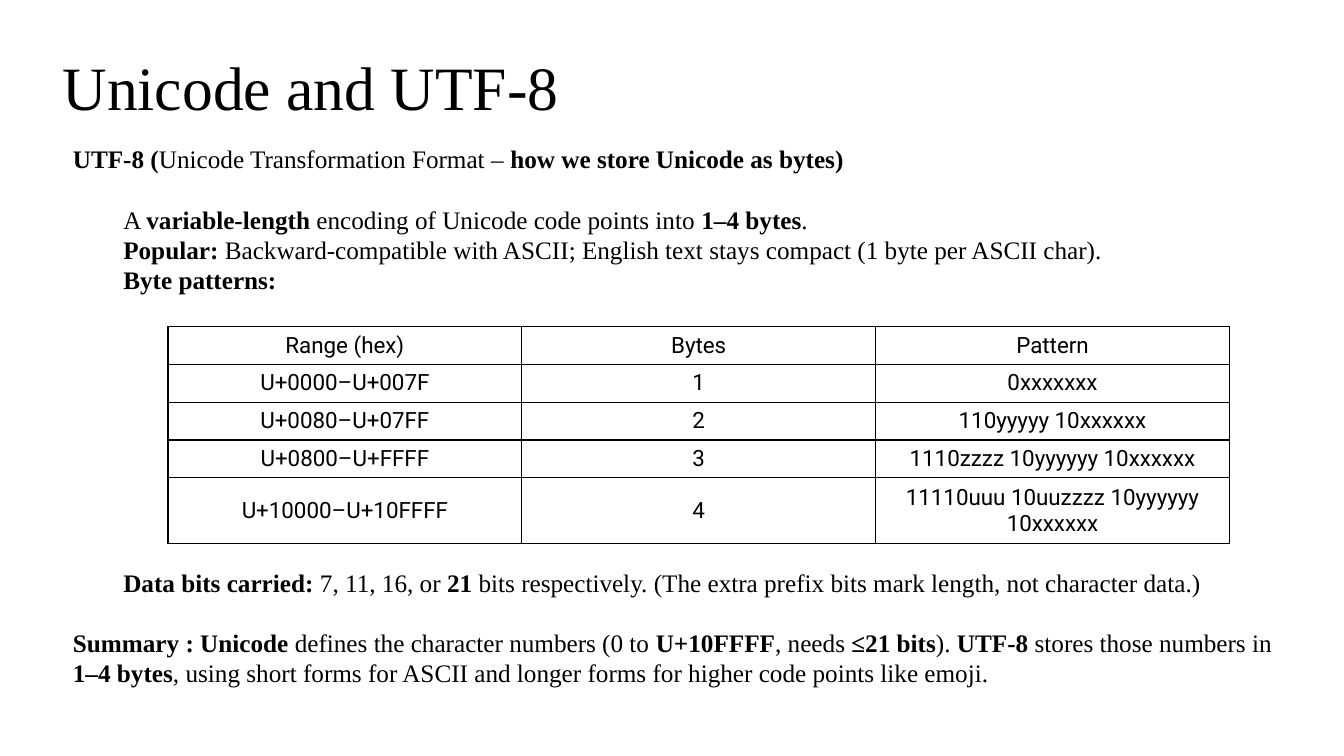
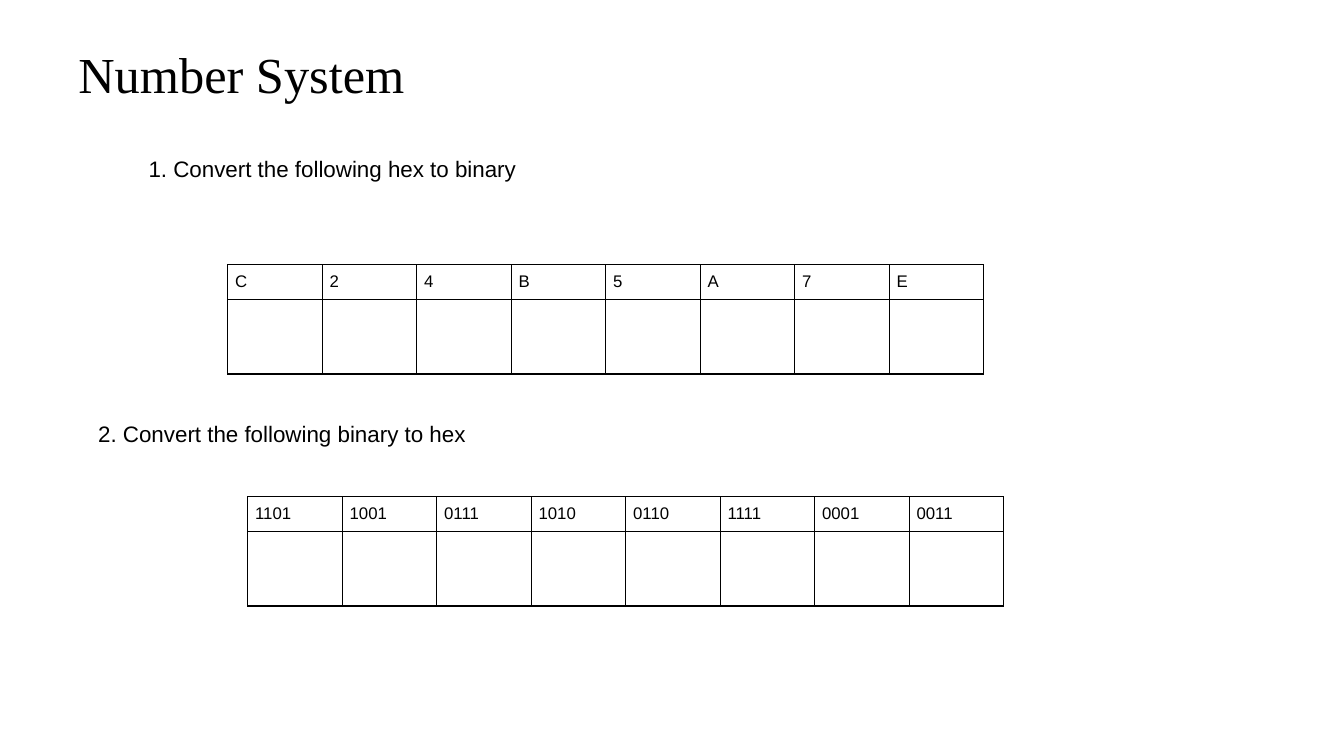
"""Build two slides on UTF-8 byte patterns and hex-binary conversion."""
from lxml.etree import SubElement
from pptx import Presentation
from pptx.dml.color import RGBColor
from pptx.enum.text import MSO_ANCHOR, MSO_AUTO_SIZE, PP_ALIGN
from pptx.oxml.ns import qn
from pptx.util import Pt

PX = 9525
INK = "000000"
SERIF = "Times New Roman"
SANS = "Arial"
TABLE_FONT = "Roboto"
LINE = 21.6


def write_text(paragraph, text, size, font, color=INK, align=PP_ALIGN.LEFT,
               line_spacing=None, indent=0, before=0):
    """Write text into a paragraph; parts between ** marks are bold."""
    paragraph.alignment = align
    paragraph.space_before = Pt(before)
    paragraph.line_spacing = line_spacing
    if indent:
        paragraph._p.get_or_add_pPr().set("marL", str(indent * PX))
    for index, part in enumerate(text.split("**")):
        if part:
            run = paragraph.add_run()
            run.text = part
            run.font.size = Pt(size)
            run.font.name = font
            run.font.bold = index % 2 == 1
            run.font.color.rgb = RGBColor.from_string(color)


def add_grid(slide, left, top, column_width, row_heights, rows, margin=None,
             anchor=MSO_ANCHOR.TOP, **text_format):
    """Add an unfilled table with thin black borders."""
    columns = len(rows[0])
    table = slide.shapes.add_table(
        len(rows), columns, left * PX, top * PX,
        column_width * columns * PX, sum(row_heights) * PX).table
    table.first_row = False
    table.horz_banding = False
    for column in table.columns:
        column.width = column_width * PX
    for row, height, texts in zip(table.rows, row_heights, rows):
        row.height = height * PX
        for cell, text in zip(row.cells, texts):
            cell.vertical_anchor = anchor
            if margin is not None:
                cell.margin_left = cell.margin_right = margin * PX
                cell.margin_top = cell.margin_bottom = margin * PX
            properties = cell._tc.get_or_add_tcPr()
            for side in ("a:lnL", "a:lnR", "a:lnT", "a:lnB"):
                border = SubElement(properties, qn(side), w=str(Pt(1)))
                fill = SubElement(border, qn("a:solidFill"))
                SubElement(fill, qn("a:srgbClr"), val=INK)
            cell.fill.background()
            write_text(cell.text_frame.paragraphs[0], text, **text_format)


presentation = Presentation()
presentation.slide_width = 1280 * PX
presentation.slide_height = 720 * PX

slides = []
for title_text, title_size, left, top in [
    ("Unicode and UTF-8", 44, 50, 17),
    ("Number System", 36, 65, 4),
]:
    slide = presentation.slides.add_slide(presentation.slide_layouts[5])
    title = slide.shapes.title
    title.left, title.top = left * PX, top * PX
    title.width, title.height = 1104 * PX, 139 * PX
    title.text_frame.vertical_anchor = MSO_ANCHOR.MIDDLE
    title.text_frame.auto_size = MSO_AUTO_SIZE.NONE
    write_text(title.text_frame.paragraphs[0], title_text, title_size, SERIF,
               line_spacing=0.9)
    slides.append(slide)
unicode_slide, number_slide = slides

body = unicode_slide.shapes.add_textbox(60 * PX, 132 * PX, 1170 * PX, 533 * PX)
body.text_frame.word_wrap = True
explanation = [
    ("**UTF-8 (**Unicode Transformation Format – **how we store Unicode as bytes)**", 0, 0),
    ("A **variable-length** encoding of Unicode code points into **1–4 bytes**.", 48, 1),
    ("**Popular:** Backward-compatible with ASCII; English text stays compact "
     "(1 byte per ASCII char).", 48, 0),
    ("**Byte patterns:**", 48, 0),
    ("**Data bits carried:** 7, 11, 16, or **21** bits respectively. "
     "(The extra prefix bits mark length, not character data.)", 48, 9),
    ("**Summary : Unicode** defines the character numbers (0 to **U+10FFFF**, needs "
     "**≤21 bits**). **UTF-8** stores those numbers in **1–4 bytes**, using short forms "
     "for ASCII and longer forms for higher code points like emoji.", 0, 1),
]
for index, (text, indent, lines_before) in enumerate(explanation):
    frame = body.text_frame
    paragraph = frame.add_paragraph() if index else frame.paragraphs[0]
    write_text(paragraph, text, 18, SERIF, line_spacing=Pt(LINE), indent=indent,
               before=lines_before * LINE)

byte_patterns = [
    ("Range (hex)", "Bytes", "Pattern"),
    ("U+0000–U+007F", "1", "0xxxxxxx"),
    ("U+0080–U+07FF", "2", "110yyyyy 10xxxxxx"),
    ("U+0800–U+FFFF", "3", "1110zzzz 10yyyyyy 10xxxxxx"),
    ("U+10000–U+10FFFF", "4", "11110uuu 10uuzzzz 10yyyyyy 10xxxxxx"),
]
add_grid(unicode_slide, 160, 311, 337, [36, 36, 36, 36, 63], byte_patterns,
         anchor=MSO_ANCHOR.MIDDLE, size=16, font=TABLE_FONT, align=PP_ALIGN.CENTER)

exercises = [
    ("1. Convert the following hex to binary", 132, 141,
     ["C", "2", "4", "B", "5", "A", "7", "E"], 217, 252),
    ("2. Convert the following binary to hex", 84, 393,
     ["1101", "1001", "0111", "1010", "0110", "1111", "0001", "0011"], 236, 473),
]
for question, left, top, digits, grid_left, grid_top in exercises:
    box = number_slide.shapes.add_textbox(left * PX, top * PX, 800 * PX, 40 * PX)
    box.text_frame.word_wrap = True
    box.text_frame.vertical_anchor = MSO_ANCHOR.MIDDLE
    write_text(box.text_frame.paragraphs[0], question, 16, SANS)
    add_grid(number_slide, grid_left, grid_top, 90, [32, 71],
             [digits, [""] * len(digits)], margin=7, size=12, font=SANS)

presentation.save("out.pptx")
